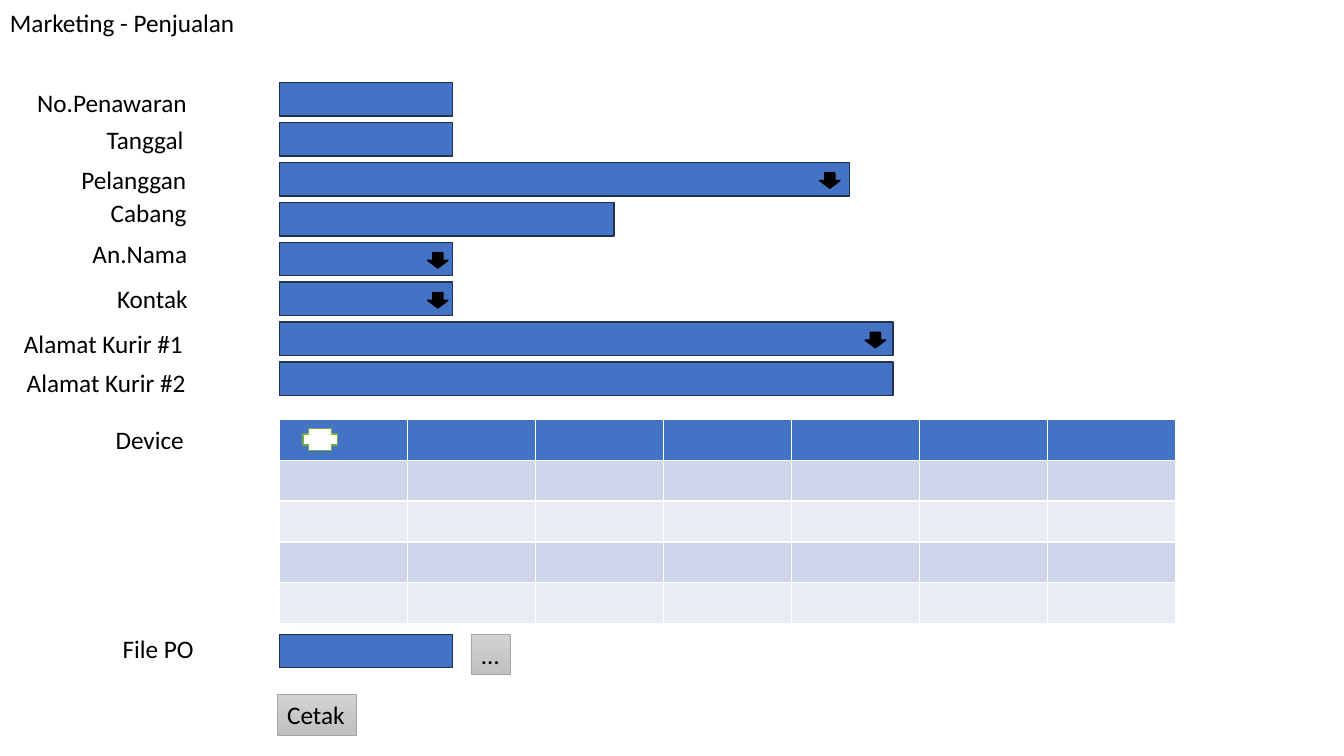
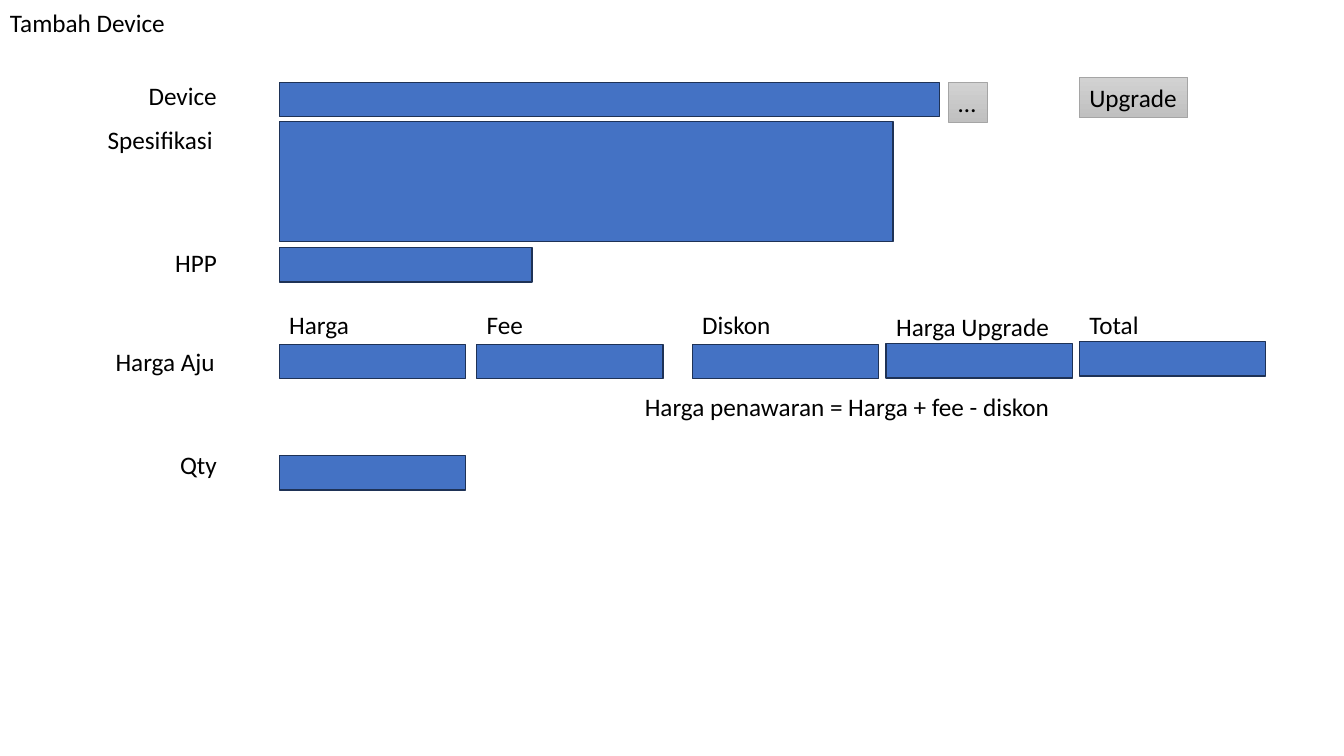
"""Build two form mock-ups: a sales entry form and an add-device form."""
from pptx import Presentation
from pptx.dml.color import RGBColor
from pptx.enum.shapes import MSO_SHAPE
from pptx.enum.text import MSO_ANCHOR, MSO_AUTO_SIZE, PP_ALIGN
from pptx.util import Pt

BLUE, NAVY, BLACK, WHITE, GREEN = "4472C4", "1E3256", "000000", "FFFFFF", "70AD47"
BUTTON_TOP_GREY, BUTTON_BOTTOM_GREY, BUTTON_EDGE = "D2D2D2", "C0C0C0", "A5A5A5"
BAND_DARK, BAND_LIGHT = "CFD5EA", "E9EBF5"
FIELD_LEFT, FIELD_HEIGHT, TEXT_HEIGHT = 199.5, 24, 29
hex_color = RGBColor.from_string


def add_box(slide, preset, left, top, width, height, fill=BLUE, edge=NAVY, weight=1):
    box = slide.shapes.add_shape(preset, Pt(left), Pt(top), Pt(width), Pt(height))
    box.shadow.inherit = False
    box.fill.solid()
    box.fill.fore_color.rgb = hex_color(fill)
    box.line.color.rgb = hex_color(edge)
    box.line.width = Pt(weight)
    return box


def write(slide, words, left, top, width, align=PP_ALIGN.LEFT, host=None):
    if host is None:
        host = slide.shapes.add_textbox(Pt(left), Pt(top), Pt(width), Pt(TEXT_HEIGHT))
    frame = host.text_frame
    frame.text = words
    frame.word_wrap = False
    frame.auto_size = MSO_AUTO_SIZE.SHAPE_TO_FIT_TEXT
    frame.vertical_anchor = MSO_ANCHOR.TOP
    line = frame.paragraphs[0]
    line.alignment = align
    font = line.runs[0].font
    font.name, font.size = "Calibri", Pt(18)
    font.color.rgb = hex_color(BLACK)


deck = Presentation()
deck.slide_width, deck.slide_height = Pt(960), Pt(540)
sales, device = [deck.slides.add_slide(deck.slide_layouts[6]) for _ in range(2)]

for form, title, width in [(sales, "Marketing - Penjualan", 176.5), (device, "Tambah Device", 126.5)]:
    write(form, title, 0, 1.5, width)

sales_rows = [
    ("No.Penawaran", 19.5, 58.5, 122.5, 124, None),
    ("Tanggal", 69, 85, 70, 124, None),
    ("Pelanggan", 51, 114, 90.5, 407.5, 585.5),
    ("Cabang", 72, 137.5, 69, 239, None),
    ("An.Nama", 59, 167, 83, 124, 305.5),
    ("Kontak", 76.5, 198.5, 65.5, 124, 305.5),
    ("Alamat Kurir #1", 10, 231, 129, 438.5, 618),
    ("Alamat Kurir #2", 12, 259, 129, 438.5, None),
]
for row, (label, left, top, width, field_width, arrow_left) in enumerate(sales_rows):
    field_top = 59 + 28.5 * row
    write(sales, label, left, top, width)
    add_box(sales, MSO_SHAPE.RECTANGLE, FIELD_LEFT, field_top, field_width, FIELD_HEIGHT)
    if arrow_left:
        add_box(sales, MSO_SHAPE.DOWN_ARROW, arrow_left, field_top + 7.5, 14.5, 11, BLACK, BLACK)

write(sales, "Device", 75.5, 299.5, 64)
device_table = sales.shapes.add_table(
    5, 7, Pt(FIELD_LEFT), Pt(299.5), Pt(640), Pt(146)).table
for row_number, row in enumerate(device_table.rows):
    for cell in row.cells:
        cell.fill.solid()
        band = BAND_DARK if row_number % 2 else BAND_LIGHT
        cell.fill.fore_color.rgb = hex_color(band if row_number else BLUE)
add_box(sales, MSO_SHAPE.CROSS, 216.5, 306, 24.5, 16, WHITE, GREEN)

write(sales, "File PO", 80.5, 448.5, 65.5)
add_box(sales, MSO_SHAPE.RECTANGLE, FIELD_LEFT, 453, 124, FIELD_HEIGHT)

device_labels = [
    ("Device", 98, 53.5, 64), ("Spesifikasi", 69, 85, 90),
    ("HPP", 117.5, 173, 44.5), ("Harga Aju", 74, 244, 86.5), ("Qty", 121, 317.5, 41),
]
for label, left, top, width in device_labels:
    write(device, label, left, top, width, PP_ALIGN.RIGHT)

device_fields = [(59, 471.5, 24.5), (87, 438.5, 85.5), (177, 180.5, 24.5), (325.5, 133, 24.5)]
for top, width, height in device_fields:
    add_box(device, MSO_SHAPE.RECTANGLE, FIELD_LEFT, top, width, height)

price_columns = [
    ("Harga", FIELD_LEFT, 217.5, 133, 246), ("Fee", 340.5, 217.5, 133, 246),
    ("Diskon", 494.5, 217.5, 133, 246), ("Harga Upgrade", 633, 219, 129, 245.5),
    ("Total", 771, 217.5, 50.5, 244),
]
for caption, left, top, width, field_top in price_columns:
    write(device, caption, left, top, width)
    add_box(device, MSO_SHAPE.RECTANGLE, left, field_top, 133, 24.5)
write(device, "Harga penawaran = Harga + fee - diskon", 453.5, 276, 307.5)

buttons = [
    (sales, "…", 337, 453, 27.5), (sales, "Cetak", 198, 496, 56.5),
    (device, "Upgrade", 771, 55, 77.5), (device, "…", 677.5, 58.5, 27.5),
]
for form, caption, left, top, width in buttons:
    button = add_box(form, MSO_SHAPE.RECTANGLE, left, top, width, TEXT_HEIGHT,
                     BUTTON_TOP_GREY, BUTTON_EDGE, 0.5)
    button.fill.gradient()
    button.fill.gradient_angle = 270
    for stop, grey in zip(button.fill.gradient_stops, (BUTTON_TOP_GREY, BUTTON_BOTTOM_GREY)):
        stop.color.rgb = hex_color(grey)
    write(form, caption, left, top, width, host=button)

deck.save("out.pptx")
